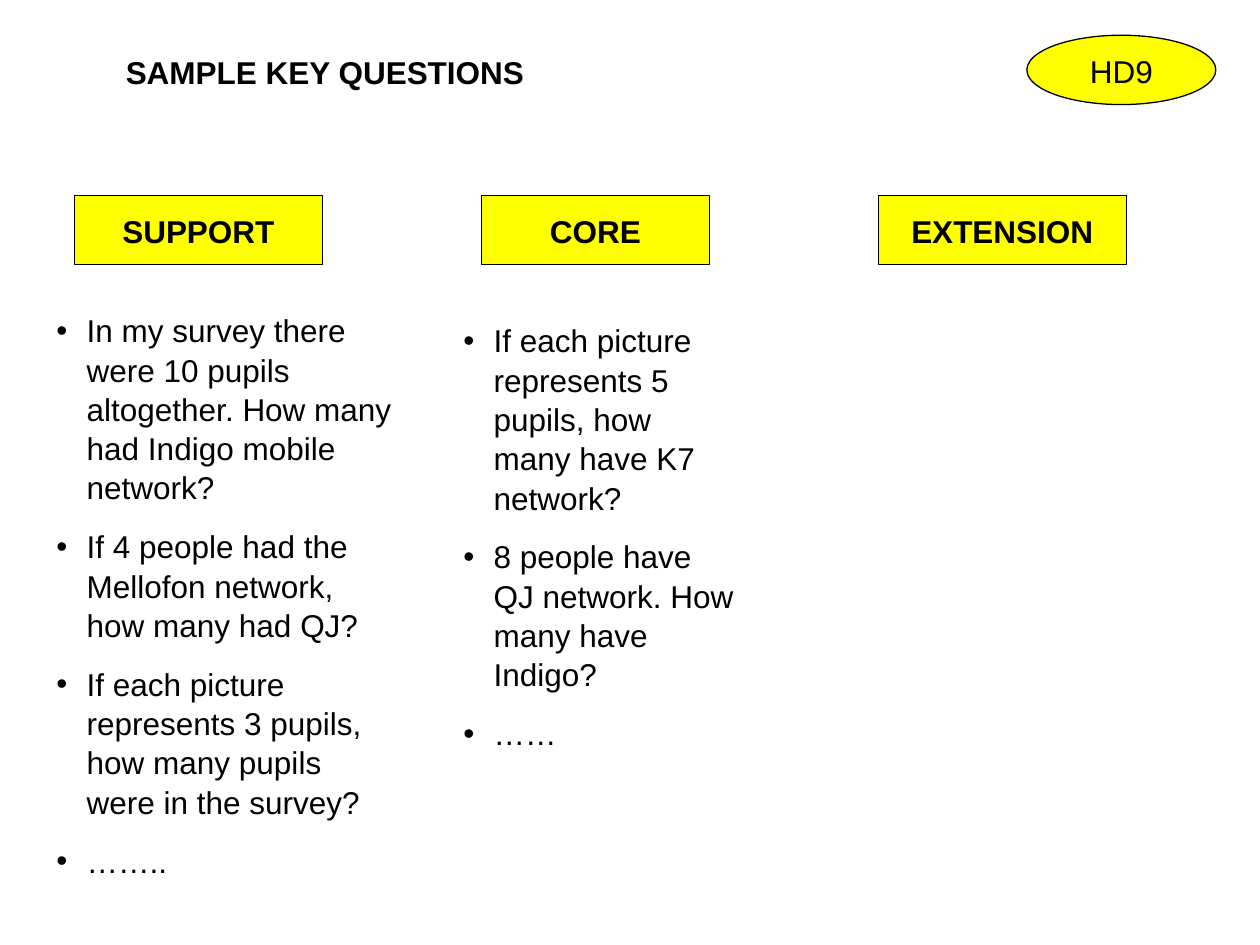
from dataclasses import dataclass

from lxml.etree import SubElement
from pptx import Presentation
from pptx.dml.color import RGBColor
from pptx.enum.shapes import MSO_SHAPE
from pptx.enum.text import MSO_ANCHOR, MSO_AUTO_SIZE, PP_ALIGN
from pptx.oxml.ns import qn
from pptx.util import Inches, Pt


@dataclass(frozen=True)
class Theme:
    font: str = "Arial"
    size: Pt = Pt(18)
    ink: RGBColor = RGBColor(0, 0, 0)
    accent: RGBColor = RGBColor(255, 255, 0)
    outline: Pt = Pt(0.75)
    para_gap: Pt = Pt(11.2)
    line_spacing: float = 1.04
    bullet_indent: int = Inches(0.24)


THEME = Theme()

# Column headings: text, left, width
HEADINGS = [
    ("SUPPORT", 0.59, 1.97),
    ("CORE", 3.82, 1.81),
    ("EXTENSION", 6.97, 1.97),
]

# Question lists: left, top, width, height, questions
QUESTIONS = [
    (0.35, 2.41, 2.87, 4.93, [
        "In my survey there were 10 pupils altogether. How many had Indigo mobile network?",
        "If 4 people had the Mellofon network, how many had QJ?",
        "If each picture represents 3 pupils, how many pupils were in the survey?",
        "……..",
    ]),
    (3.58, 2.49, 2.36, 3.12, [
        "If each picture represents 5 pupils, how many have K7 network?",
        "8 people have QJ network. How many have Indigo?",
        "……",
    ]),
]


def set_values(target, values):
    for name, value in values.items():
        setattr(target, name, value)


def write_text(para, text, bold=False):
    para.line_spacing = THEME.line_spacing
    span = para.add_run()
    span.text = text
    set_values(span.font, {"name": THEME.font, "size": THEME.size, "bold": bold})
    span.font.color.rgb = THEME.ink


def add_bullet(para):
    properties = para._p.get_or_add_pPr()
    properties.set("marL", str(THEME.bullet_indent))
    properties.set("indent", str(-THEME.bullet_indent))
    SubElement(properties, qn("a:buFont")).set("typeface", THEME.font)
    SubElement(properties, qn("a:buChar")).set("char", "•")


def add_label(page, kind, text, left, top, width, height=0.55, bold=True):
    shape = page.shapes.add_shape(
        kind, Inches(left), Inches(top), Inches(width), Inches(height))
    shape.shadow.inherit = False
    shape.fill.solid()
    shape.fill.fore_color.rgb = THEME.accent
    shape.line.color.rgb = THEME.ink
    shape.line.width = THEME.outline
    set_values(shape.text_frame,
               {"word_wrap": False, "vertical_anchor": MSO_ANCHOR.MIDDLE})
    para = shape.text_frame.paragraphs[0]
    para.alignment = PP_ALIGN.CENTER
    write_text(para, text, bold)


def add_text(page, lines, left, top, width, height, bold=False, bullets=False):
    box = page.shapes.add_textbox(
        Inches(left), Inches(top), Inches(width), Inches(height))
    frame = box.text_frame
    set_values(frame, {"word_wrap": True,
                       "auto_size": MSO_AUTO_SIZE.SHAPE_TO_FIT_TEXT})
    for index, line in enumerate(lines):
        para = frame.add_paragraph() if index else frame.paragraphs[0]
        if bullets:
            add_bullet(para)
        if index:
            para.space_before = THEME.para_gap
        write_text(para, line, bold)


def main():
    deck = Presentation()
    set_values(deck, {"slide_width": Inches(10), "slide_height": Inches(7.5)})
    page = deck.slides.add_slide(deck.slide_layouts[6])

    # Title and sheet number
    add_label(page, MSO_SHAPE.OVAL, "HD9", 8.15, 0.28, 1.5, bold=False)
    add_text(page, ["SAMPLE KEY QUESTIONS"], 0.9, 0.36, 3.47, 0.4, bold=True)

    # Column headings
    for text, left, width in HEADINGS:
        add_label(page, MSO_SHAPE.RECTANGLE, text, left, 1.55, width)

    # Questions under the headings
    for left, top, width, height, lines in QUESTIONS:
        add_text(page, lines, left, top, width, height, bullets=True)

    deck.save("out.pptx")


if __name__ == "__main__":
    main()
